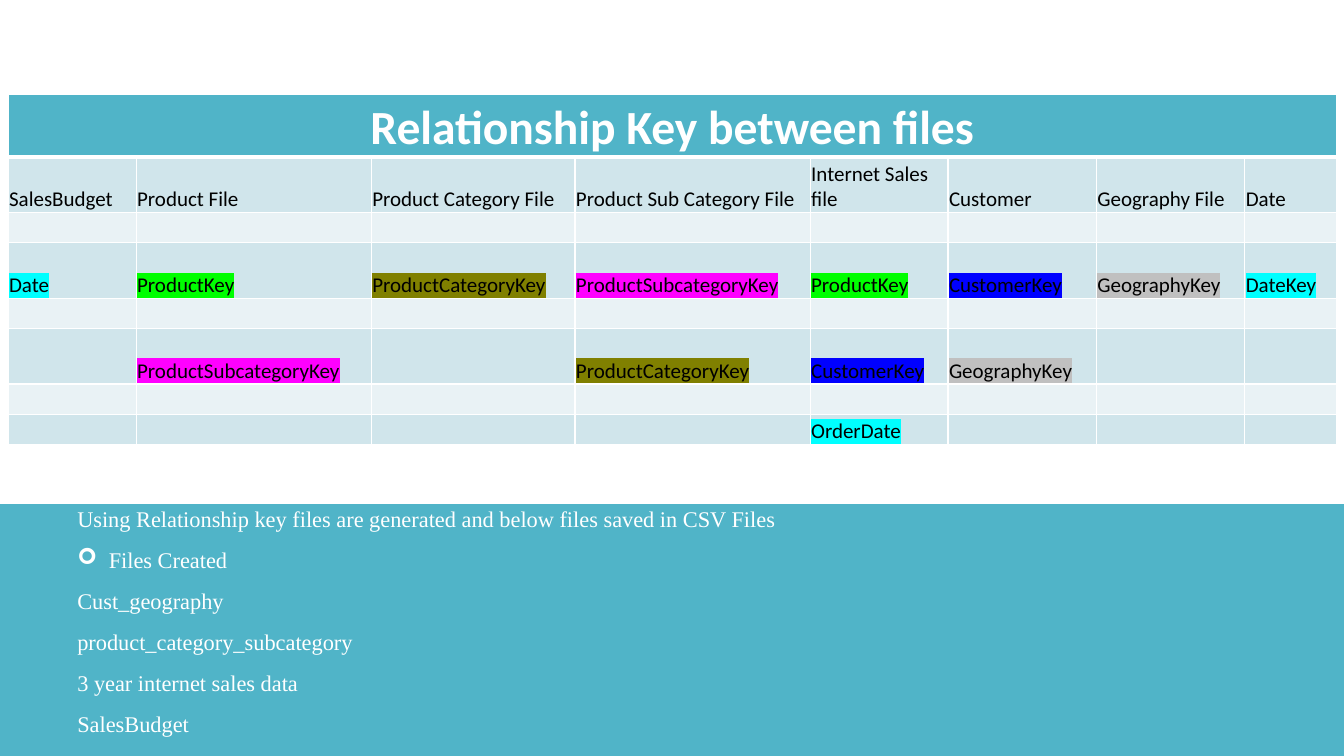
from typing import NamedTuple

from lxml import etree
from pptx import Presentation
from pptx.dml.color import RGBColor
from pptx.enum.shapes import MSO_SHAPE
from pptx.enum.text import MSO_ANCHOR, MSO_AUTO_SIZE, PP_ALIGN
from pptx.oxml.ns import qn
from pptx.util import Pt

RECT = MSO_SHAPE.RECTANGLE
LEFT, CENTER = PP_ALIGN.LEFT, PP_ALIGN.CENTER
TOP, BOTTOM = MSO_ANCHOR.TOP, MSO_ANCHOR.BOTTOM
NO_AUTOFIT = MSO_AUTO_SIZE.NONE

COLORS = {
    "teal": "50B4C8", "white": "FFFFFF", "black": "000000",
    "band_dark": "D0E5EB", "band_light": "E9F2F5",
    "cyan": "00FFFF", "green": "00FF00", "olive": "808000",
    "magenta": "FF00FF", "blue": "0000FF", "silver": "C0C0C0",
}
WIDTH, HEIGHT, SPLIT = 960, 540, 360
TABLE_LEFT, TABLE_TOP = 5.8, 67.7
COL_WIDTHS = [91.5, 168, 145.5, 168, 98.5, 106, 106, 65.5]
ROW_HEIGHTS = [44.6, 39.6, 21.6, 39.6, 21.6, 39.6, 21.6, 21.6]


class Panel(NamedTuple):
    height: float
    color: str


class Entry(NamedTuple):
    row: int
    col: int
    text: str
    highlight: str = ""


PANELS = [Panel(HEIGHT, "teal"), Panel(SPLIT, "white")]
FILES = ["SalesBudget", "Product File", "Product Category File",
         "Product Sub Category File", "Internet Sales file", "Customer",
         "Geography File", "Date"]
ENTRIES = [Entry(1, c, name) for c, name in enumerate(FILES)] + [
    Entry(3, 0, "Date", "cyan"),
    Entry(3, 1, "ProductKey", "green"),
    Entry(3, 2, "ProductCategoryKey", "olive"),
    Entry(3, 3, "ProductSubcategoryKey", "magenta"),
    Entry(3, 4, "ProductKey", "green"),
    Entry(3, 5, "CustomerKey", "blue"),
    Entry(3, 6, "GeographyKey", "silver"),
    Entry(3, 7, "DateKey", "cyan"),
    Entry(5, 1, "ProductSubcategoryKey", "magenta"),
    Entry(5, 3, "ProductCategoryKey", "olive"),
    Entry(5, 4, "CustomerKey", "blue"),
    Entry(5, 5, "GeographyKey", "silver"),
    Entry(7, 4, "OrderDate", "cyan"),
]
BULLETED = "Files Created"
NOTES = ["Using Relationship key files are generated and below files saved in CSV Files",
         BULLETED, "Cust_geography", "product_category_subcategory",
         "3 year internet sales data", "SalesBudget"]


def rgb(name: str) -> RGBColor:
    return RGBColor.from_string(COLORS[name])


def add_panel(slide, panel: Panel) -> None:
    sp = slide.shapes.add_shape(RECT, 0, 0, Pt(WIDTH), Pt(panel.height))
    sp.shadow.inherit = False
    sp.fill.solid()
    sp.fill.fore_color.rgb = rgb(panel.color)
    sp.line.fill.background()


def format_run(r, font: str, size: float, color: str, bold: bool = False) -> None:
    r.font.name, r.font.size, r.font.bold = font, Pt(size), bold
    r.font.color.rgb = rgb(color)


def add_highlight(r, color: str) -> None:
    fill = r.font._element.find(qn("a:solidFill"))
    highlight = etree.Element(qn("a:highlight"))
    etree.SubElement(highlight, qn("a:srgbClr"), val=COLORS[color])
    fill.addnext(highlight)


def set_borders(cell, top: float, bottom: float) -> None:
    tc_pr = cell._tc.get_or_add_tcPr()
    sides = {"lnL": 1, "lnR": 1, "lnT": top, "lnB": bottom}
    for i, (side, width) in enumerate(sides.items()):
        ln = etree.Element(qn(f"a:{side}"), w=str(Pt(width)))
        fill = etree.SubElement(ln, qn("a:solidFill"))
        etree.SubElement(fill, qn("a:srgbClr"), val=COLORS["white"])
        tc_pr.insert(i, ln)


def format_cell(cell, row: int) -> None:
    cell.margin_left = cell.margin_right = cell.margin_top = Pt(0.7)
    cell.margin_bottom = 0
    cell.vertical_anchor = BOTTOM
    cell.fill.solid()
    band = "band_dark" if row % 2 else "band_light"
    cell.fill.fore_color.rgb = rgb(band if row else "teal")
    set_borders(cell, 3 if row == 1 else 1, 1 if row else 3)
    # Empty cells need the small size too, or their rows grow
    p = cell.text_frame.paragraphs[0]
    etree.SubElement(p._p, qn("a:endParaRPr"), sz="1500")


def add_bullet(p, char: str, indent: float) -> None:
    p_pr = p._p.get_or_add_pPr()
    p_pr.set("marL", str(Pt(indent)))
    p_pr.set("indent", str(-Pt(indent)))
    etree.SubElement(p_pr, qn("a:buFont"), typeface="Wingdings")
    etree.SubElement(p_pr, qn("a:buChar"), char=char)


prs = Presentation()
prs.slide_width, prs.slide_height = Pt(WIDTH), Pt(HEIGHT)
slide = prs.slides.add_slide(prs.slide_layouts[0])
slide.background.fill.solid()
slide.background.fill.fore_color.rgb = rgb("teal")

# Panels, with the subtitle brought in front of them
title = slide.shapes.title._element
title.getparent().remove(title)
for panel in PANELS:
    add_panel(slide, panel)
notes = slide.placeholders[1]
notes._element.getparent().append(notes._element)

# Table of relationship keys
table = slide.shapes.add_table(
    len(ROW_HEIGHTS), len(COL_WIDTHS), Pt(TABLE_LEFT), Pt(TABLE_TOP),
    Pt(sum(COL_WIDTHS)), Pt(sum(ROW_HEIGHTS))).table
for column, width in zip(table.columns, COL_WIDTHS):
    column.width = Pt(width)
for i, (row, height) in enumerate(zip(table.rows, ROW_HEIGHTS)):
    row.height = Pt(height)
    for cell in row.cells:
        format_cell(cell, i)

heading = table.cell(0, 0)
heading.merge(table.cell(0, len(COL_WIDTHS) - 1))
p = heading.text_frame.paragraphs[0]
p.text = "Relationship Key between files"
p.alignment = CENTER
format_run(p.runs[0], "Calibri", 34, "white", bold=True)

for entry in ENTRIES:
    p = table.cell(entry.row, entry.col).text_frame.paragraphs[0]
    p.text = entry.text
    format_run(p.runs[0], "Calibri", 15, "black")
    if entry.highlight:
        add_highlight(p.runs[0], entry.highlight)

# Notes on the generated files
notes.left, notes.top, notes.width, notes.height = Pt(48), Pt(SPLIT), Pt(748), Pt(180)
tf = notes.text_frame
tf.text = "\n".join(NOTES)
tf.word_wrap = True
tf.auto_size = NO_AUTOFIT
tf.vertical_anchor = TOP
for p in tf.paragraphs:
    p.alignment = LEFT
    p.line_spacing = 0.85
    p.space_before = Pt(13)
    format_run(p.runs[0], "Times New Roman", 16, "white")
    if p.text == BULLETED:
        add_bullet(p, "\u27a2", 22.5)

prs.save("out.pptx")
